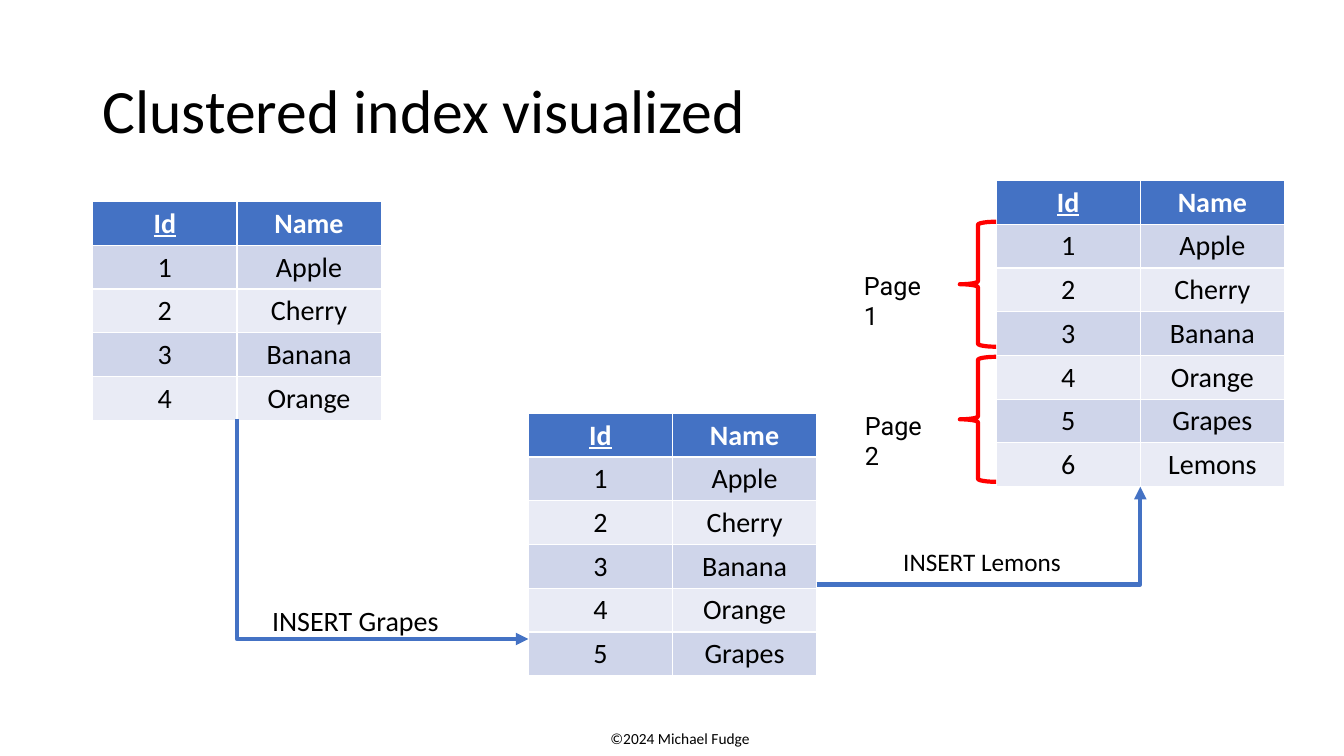
"""Build the slide that shows a clustered index growing as rows are inserted."""
import pptx
import pptx.dml.color
import pptx.enum.dml
import pptx.enum.shapes
import pptx.enum.text
import pptx.oxml
import pptx.oxml.ns
import pptx.util

Inches = pptx.util.Inches
Pt = pptx.util.Pt
RGBColor = pptx.dml.color.RGBColor
ALIGN = pptx.enum.text.PP_ALIGN
ANCHOR = pptx.enum.text.MSO_ANCHOR
SHAPES = pptx.enum.shapes

BLACK = RGBColor(0x00, 0x00, 0x00)
WHITE = RGBColor(0xFF, 0xFF, 0xFF)
BLUE = RGBColor(0x44, 0x72, 0xC4)
RED = RGBColor(0xFF, 0x00, 0x00)
BANDS = (RGBColor(0xCF, 0xD5, 0xEA), RGBColor(0xE9, 0xEB, 0xF5))

HEADINGS = ("Id", "Name")
FRUITS = ("Apple", "Cherry", "Banana", "Orange", "Grapes", "Lemons")
COLUMN_WIDTH, ROW_HEIGHT = 1.43, 0.41
STAGES = [(0.92, 2.0, 4), (5.24, 4.1, 5), (9.88, 1.79, 6)]

TITLE = ("Clustered index visualized", (0.92, 0.4, 11.5, 1.45))
FOOTER = ("©2024 Michael Fudge", (5.75, 7.18, 1.99, 0.29))
INSERTS = [
    ("INSERT Grapes", (2.6, 5.94, 1.87, 0.44), 20, (2.35, 4.16), (5.24, 6.34)),
    ("INSERT Lemons", (8.86, 5.37, 1.78, 0.4), 18, (8.1, 5.8), (11.31, 4.83)),
]
PAGES = [
    ("Page 1", (8.47, 2.63, 0.88, 0.4), 2.2),
    ("Page 2", (8.48, 4.02, 0.84, 0.4), 3.54),
]
BRACE_LEFT, BRACE_WIDTH, BRACE_HEIGHT = 9.52, 0.36, 1.24


def write(frame, text, size, color=BLACK, font="Calibri", align=ALIGN.LEFT, **styles):
    paragraph = frame.paragraphs[0]
    paragraph.alignment = align
    run = paragraph.add_run()
    run.text = text
    run.font.color.rgb = color
    formats = {"name": font, "size": Pt(size), **styles}
    for name, value in formats.items():
        setattr(run.font, name, value)
    return paragraph


def add_label(slide, text, box, size, wrap=False, **formats):
    frame = slide.shapes.add_textbox(*map(Inches, box)).text_frame
    frame.word_wrap = wrap
    return frame, write(frame, text, size, **formats)


def add_stage(slide, left, top, count):
    rows = [HEADINGS] + [(str(i), fruit) for i, fruit in enumerate(FRUITS[:count], 1)]
    table = slide.shapes.add_table(
        len(rows), len(HEADINGS), Inches(left), Inches(top),
        Inches(COLUMN_WIDTH * len(HEADINGS)), Inches(ROW_HEIGHT * len(rows)),
    ).table
    for column in table.columns:
        column.width = Inches(COLUMN_WIDTH)
    for r, row in enumerate(rows):
        table.rows[r].height = Inches(ROW_HEIGHT)
        heading = r == 0
        for c, text in enumerate(row):
            cell = table.cell(r, c)
            cell.fill.solid()
            cell.fill.fore_color.rgb = BLUE if heading else BANDS[(r - 1) % 2]
            write(cell.text_frame, text, 20, WHITE if heading else BLACK,
                  align=ALIGN.CENTER, bold=heading, underline=heading and c == 0)


def add_bent_arrow(slide, start, end):
    (x1, y1), (x2, y2) = start, end
    down_first = y2 > y1
    if down_first:
        middle_x, middle_y = (x1 + x2) / 2, (y1 + y2) / 2
        half_w, half_h = (y2 - y1) / 2, (x2 - x1) / 2
        x1, y1 = middle_x + half_w, middle_y - half_h
        x2, y2 = middle_x - half_w, middle_y + half_h
    arrow = slide.shapes.add_connector(
        SHAPES.MSO_CONNECTOR.ELBOW, *map(Inches, (x1, y1, x2, y2)))
    arrow.line.color.rgb = BLUE
    arrow.line.width = Pt(3)
    properties = arrow._element.spPr
    properties.find(pptx.oxml.ns.qn("a:prstGeom")).set("prst", "bentConnector2")
    if down_first:
        properties.find(pptx.oxml.ns.qn("a:xfrm")).set("rot", str(270 * 60000))
    namespace = pptx.oxml.ns.nsdecls("a")
    line = properties.find(pptx.oxml.ns.qn("a:ln"))
    line.append(pptx.oxml.parse_xml(f'<a:tailEnd {namespace} type="triangle"/>'))
    properties.append(pptx.oxml.parse_xml(f"<a:effectLst {namespace}/>"))


def add_brace(slide, top):
    brace = slide.shapes.add_shape(
        SHAPES.MSO_SHAPE.LEFT_BRACE,
        *map(Inches, (BRACE_LEFT, top, BRACE_WIDTH, BRACE_HEIGHT)))
    brace.shadow.inherit = False
    brace.fill.background()
    brace.line.color.rgb = RED
    brace.line.width = Pt(3)


def main():
    deck = pptx.Presentation()
    deck.slide_width, deck.slide_height = Inches(13.33), Inches(7.5)
    slide = deck.slides.add_slide(deck.slide_layouts[6])

    add_label(slide, *FOOTER, 11, align=ALIGN.CENTER)
    title_frame, title_line = add_label(slide, *TITLE, 44, wrap=True)
    title_frame.vertical_anchor = ANCHOR.MIDDLE
    title_line.line_spacing = 0.9

    for stage in STAGES:
        add_stage(slide, *stage)
    for text, box, size, start, end in INSERTS:
        add_bent_arrow(slide, start, end)
        add_label(slide, text, box, size)
    for text, box, brace_top in PAGES:
        add_brace(slide, brace_top)
        add_label(slide, text, box, 18, wrap=True, font="Roboto")

    deck.save("out.pptx")


if __name__ == "__main__":
    main()
